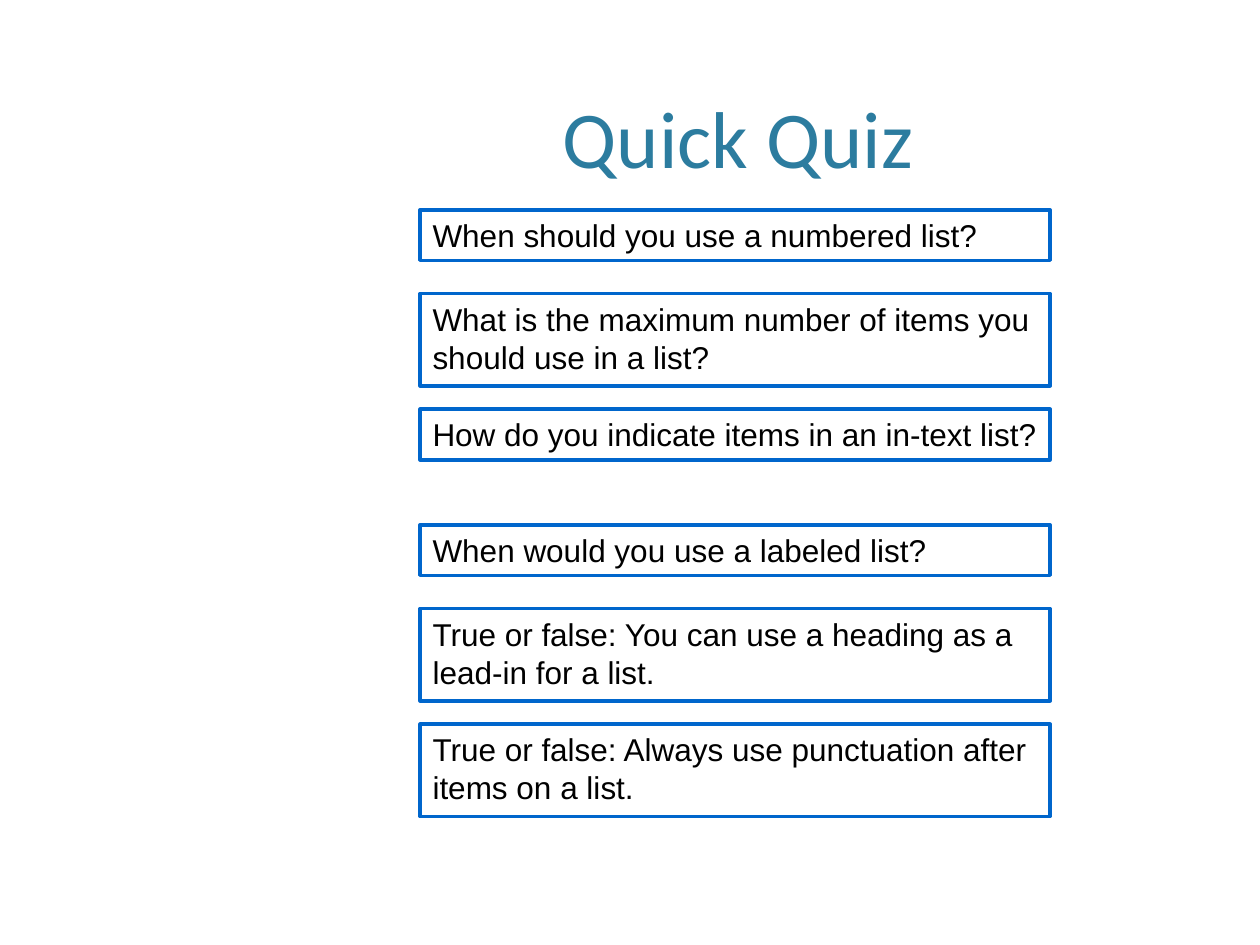
from pptx import Presentation
from pptx.dml.color import RGBColor
from pptx.enum.shapes import MSO_SHAPE
from pptx.enum.text import MSO_ANCHOR, MSO_AUTO_SIZE, PP_ALIGN
from pptx.util import Cm, Pt

RECTANGLE = MSO_SHAPE.RECTANGLE
TOP, BOTTOM = MSO_ANCHOR.TOP, MSO_ANCHOR.BOTTOM
LEFT, CENTER = PP_ALIGN.LEFT, PP_ALIGN.CENTER
GROW = MSO_AUTO_SIZE.SHAPE_TO_FIT_TEXT

COLORS = {"title": "2C7C9F", "border": "0066CC", "box": "FFFFFF", "text": "000000"}

QUESTIONS = [
    ("When should you use a numbered list?", 1),
    ("What is the maximum number of items you should use in a list?", 2),
    ("How do you indicate items in an in-text list?", 1),
    ("When would you use a labeled list?", 1),
    ("True or false: You can use a heading as a lead-in for a list.", 2),
    ("True or false: Always use punctuation after items on a list.", 2),
]
FIRST_TOP = 4.23
GROUP_PITCH = 6.35
GROUP_OFFSETS = [0, 1.69, 4.02]
BOX_HEIGHTS = {1: 1.02, 2: 1.86}


def color(name):
    return RGBColor.from_string(COLORS[name])


def write_text(shape, text, font_name, size, color_name, alignment, anchor):
    frame = shape.text_frame
    frame.word_wrap = True
    frame.vertical_anchor = anchor
    paragraph = frame.paragraphs[0]
    paragraph.text = text
    paragraph.alignment = alignment
    paragraph.font.name = font_name
    paragraph.font.size = Pt(size)
    paragraph.font.color.rgb = color(color_name)


def add_title(slide, text):
    title = slide.shapes.add_textbox(Cm(4.45), Cm(0.13), Cm(20.85), Cm(3.71))
    write_text(title, text, "Calibri", 46, "title", CENTER, BOTTOM)


def add_question(slide, text, top, height):
    box = slide.shapes.add_shape(RECTANGLE, Cm(8.47), Cm(top), Cm(12.7), Cm(height))
    box.shadow.inherit = False
    box.fill.solid()
    box.fill.fore_color.rgb = color("box")
    box.line.color.rgb = color("border")
    box.line.width = Pt(2)
    write_text(box, text, "Arial", 18, "text", LEFT, TOP)
    box.text_frame.auto_size = GROW


def main():
    presentation = Presentation()
    presentation.slide_width = Cm(25.4)
    presentation.slide_height = Cm(19.05)
    slide = presentation.slides.add_slide(presentation.slide_layouts[6])
    add_title(slide, "Quick Quiz")
    for index, (text, line_count) in enumerate(QUESTIONS):
        group, position = divmod(index, len(GROUP_OFFSETS))
        top = FIRST_TOP + group * GROUP_PITCH + GROUP_OFFSETS[position]
        add_question(slide, text, top, BOX_HEIGHTS[line_count])
    presentation.save("out.pptx")


if __name__ == "__main__":
    main()
